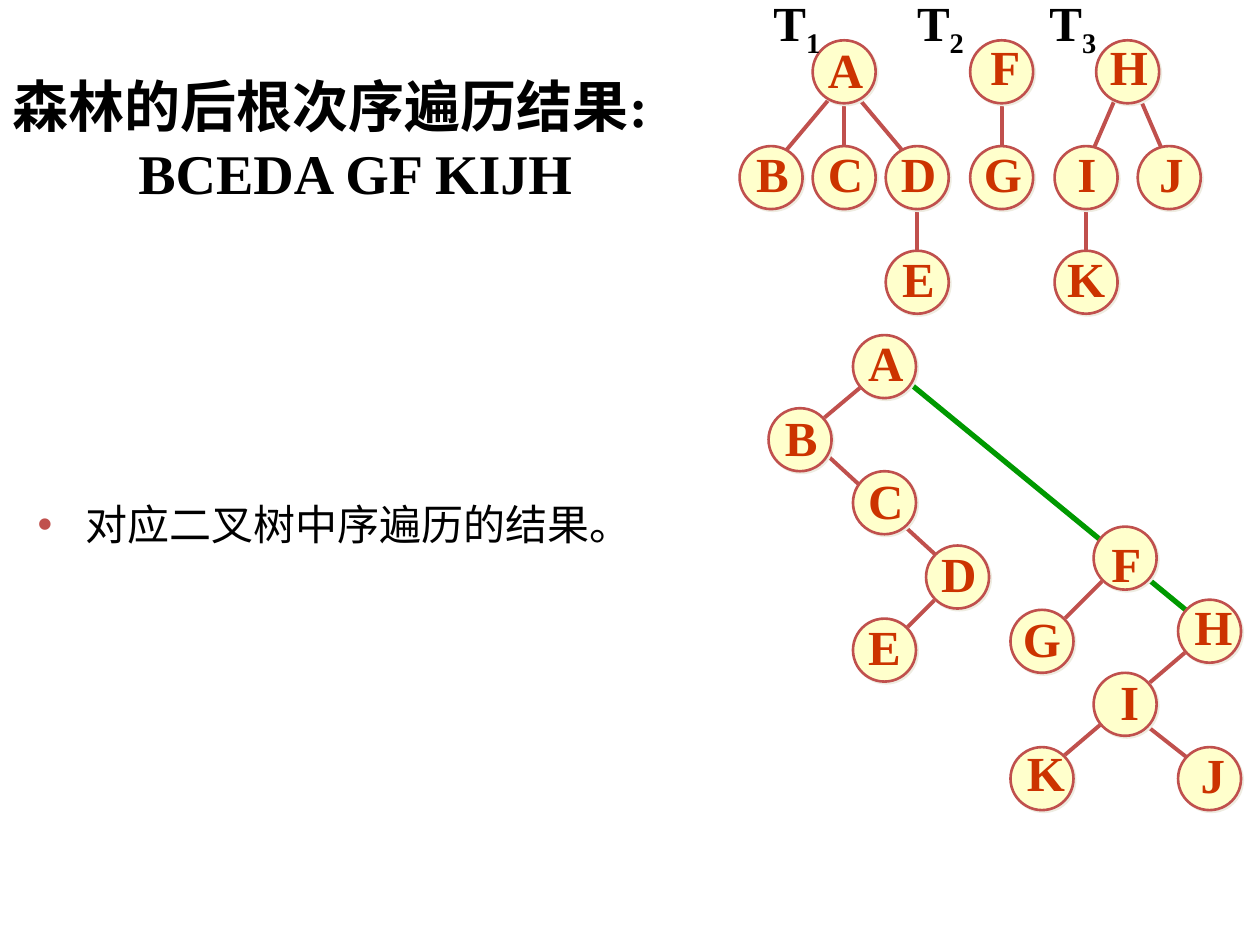
import lxml.etree
import pptx
import pptx.dml.color
import pptx.enum.shapes
import pptx.enum.text
import pptx.oxml
import pptx.oxml.ns
import pptx.util

Inches = pptx.util.Inches
color = pptx.dml.color.RGBColor.from_string
qn = pptx.oxml.ns.qn
SERIF = "Times New Roman"
NODE_SIZE = 0.5
RED, GREEN = ("C0504D", 2.25), ("009900", 3)

presentation = pptx.Presentation()
presentation.slide_width = Inches(10)
presentation.slide_height = Inches(7.5)
slide = presentation.slides.add_slide(presentation.slide_layouts[6])


def add_text_frame(left, top, width, height, wrap=True, anchor="TOP"):
    box = slide.shapes.add_textbox(Inches(left), Inches(top), Inches(width), Inches(height))
    frame = box.text_frame
    frame.word_wrap = wrap
    frame.vertical_anchor = pptx.enum.text.MSO_ANCHOR[anchor]
    return frame


def add_run(paragraph, text, size, hex_color="000000", font=SERIF, bold=True):
    run = paragraph.add_run()
    run.text = text
    run.font.size = pptx.util.Pt(size)
    run.font.name = font
    run.font.bold = bold
    run.font.color.rgb = color(hex_color)
    return run


# Edges: start x, start y, end x, end y, style
binary_tree_edges = [
    (7.18, 3.01, 9.52, 4.93, GREEN),
    (7.52, 4.66, 7.1, 5.08, RED),
    (6.43, 3.49, 7.52, 4.49, RED),
    (6.93, 2.99, 6.43, 3.41, RED),
    (9.1, 5.76, 9.52, 6.09, RED),
    (9.51, 5.09, 8.43, 6.01, RED),
    (8.85, 4.51, 8.35, 5.01, RED),
]
forest_edges = [
    (9.03, 0.74, 9.28, 1.32, RED),
    (8.87, 0.74, 8.62, 1.32, RED),
    (6.78, 0.74, 7.2, 1.24, RED),
    (6.62, 0.74, 6.2, 1.24, RED),
    (8.62, 1.57, 8.62, 2.07, RED),
    (7.28, 1.57, 7.28, 2.07, RED),
    (7.95, 0.74, 7.95, 1.24, RED),
    (6.7, 0.74, 6.7, 1.24, RED),
]

# Nodes: letter, circle left and top, label left and top
binary_tree_nodes = [
    ("A", 6.77, 2.66, 6.79, 2.59),
    ("B", 6.1, 3.24, 6.13, 3.18),
    ("C", 6.77, 3.74, 6.79, 3.68),
    ("D", 7.35, 4.33, 7.37, 4.26),
    ("E", 6.77, 4.91, 6.79, 4.84),
    ("F", 8.68, 4.18, 8.72, 4.18),
    ("G", 8.02, 4.84, 8.02, 4.78),
    ("H", 9.35, 4.76, 9.38, 4.68),
    ("I", 8.68, 5.34, 8.79, 5.28),
    ("J", 9.35, 5.93, 9.43, 5.86),
    ("K", 8.02, 5.93, 8.05, 5.84),
]
forest_nodes = [
    ("A", 6.45, 0.32, 6.47, 0.26),
    ("F", 7.7, 0.32, 7.76, 0.24),
    ("H", 8.7, 0.32, 8.71, 0.24),
    ("B", 5.87, 1.16, 5.9, 1.09),
    ("C", 6.45, 1.16, 6.47, 1.09),
    ("D", 7.03, 1.16, 7.05, 1.09),
    ("G", 7.7, 1.16, 7.71, 1.09),
    ("I", 8.37, 1.16, 8.45, 1.09),
    ("J", 9.03, 1.16, 9.1, 1.09),
    ("E", 7.03, 1.99, 7.06, 1.92),
    ("K", 8.37, 1.99, 8.37, 1.92),
]
label_widths = {"A": 0.48, "B": 0.46, "C": 0.48, "D": 0.48, "E": 0.46, "F": 0.44,
                "G": 0.5, "H": 0.5, "I": 0.35, "J": 0.39, "K": 0.5}

# Binary tree below, forest above: edges, then circles, then letters
for edges, nodes in ((binary_tree_edges, binary_tree_nodes), (forest_edges, forest_nodes)):
    for start_x, start_y, end_x, end_y, (hex_color, width) in edges:
        edge = slide.shapes.add_connector(
            pptx.enum.shapes.MSO_CONNECTOR.STRAIGHT,
            Inches(start_x), Inches(start_y), Inches(end_x), Inches(end_y))
        edge.line.color.rgb = color(hex_color)
        edge.line.width = pptx.util.Pt(width)
        lxml.etree.SubElement(edge._element.spPr, qn("a:effectLst"))

    for letter, left, top, label_left, label_top in nodes:
        circle = slide.shapes.add_shape(
            pptx.enum.shapes.MSO_SHAPE.OVAL,
            Inches(left), Inches(top), Inches(NODE_SIZE), Inches(NODE_SIZE))
        circle.fill.solid()
        circle.fill.fore_color.rgb = color("FFFFCC")
        circle.line.color.rgb = color("C0504D")
        circle.line.width = pptx.util.Pt(1.5)
        circle.shadow.inherit = False
        effects = circle._element.spPr.find(qn("a:effectLst"))
        shadow = lxml.etree.SubElement(
            effects, qn("a:outerShdw"), dist="17780", dir="2700000", algn="ctr", rotWithShape="0")
        lxml.etree.SubElement(shadow, qn("a:srgbClr"), val="EEECE1")

    for letter, left, top, label_left, label_top in nodes:
        frame = add_text_frame(label_left, label_top, label_widths[letter], 0.57, False, "MIDDLE")
        frame.auto_size = pptx.enum.text.MSO_AUTO_SIZE.SHAPE_TO_FIT_TEXT
        paragraph = frame.paragraphs[0]
        paragraph.alignment = pptx.enum.text.PP_ALIGN.CENTER
        add_run(paragraph, letter, 28, "CC3300")

# Tree names, spaced by tab stops
paragraph = add_text_frame(6.04, -0.11, 2.77, 0.63, anchor="MIDDLE").paragraphs[0]
tab_list = lxml.etree.SubElement(paragraph._p.get_or_add_pPr(), qn("a:tabLst"))
for position in (1.14, 2.19):
    lxml.etree.SubElement(tab_list, qn("a:tab"), pos=str(Inches(position)), algn="l")
for name, number in (("T", "1"), ("\tT", "2"), ("\tT", "3")):
    add_run(paragraph, name, 28)
    subscript = add_run(paragraph, number, 28)
    subscript._r.get_or_add_rPr().set("baseline", "-25000")

# Heading with the indented traversal result
frame = add_text_frame(0, 0.52, 5.87, 1.17)
add_run(frame.paragraphs[0], "森林的后根次序遍历结果:", 32)
paragraph = frame.add_paragraph()
paragraph._p.get_or_add_pPr().set("marL", str(Inches(1)))
add_run(paragraph, "BCEDA GF KIJH", 32)

# Bulleted remark
paragraph = add_text_frame(0.2, 3.91, 9, 2.05).paragraphs[0]
paragraph.space_before = pptx.util.Pt(6)
properties = paragraph._p.get_or_add_pPr()
properties.set("marL", str(Inches(0.38)))
properties.set("indent", str(Inches(-0.38)))
bullet_color = lxml.etree.SubElement(properties, qn("a:buClr"))
lxml.etree.SubElement(bullet_color, qn("a:srgbClr"), val="C0504D")
lxml.etree.SubElement(properties, qn("a:buFont"), typeface="Arial")
lxml.etree.SubElement(properties, qn("a:buChar"), char="•")
add_run(paragraph, "对应二叉树中序遍历的结果。", 24, font="Calibri", bold=False)

presentation.save("out.pptx")
